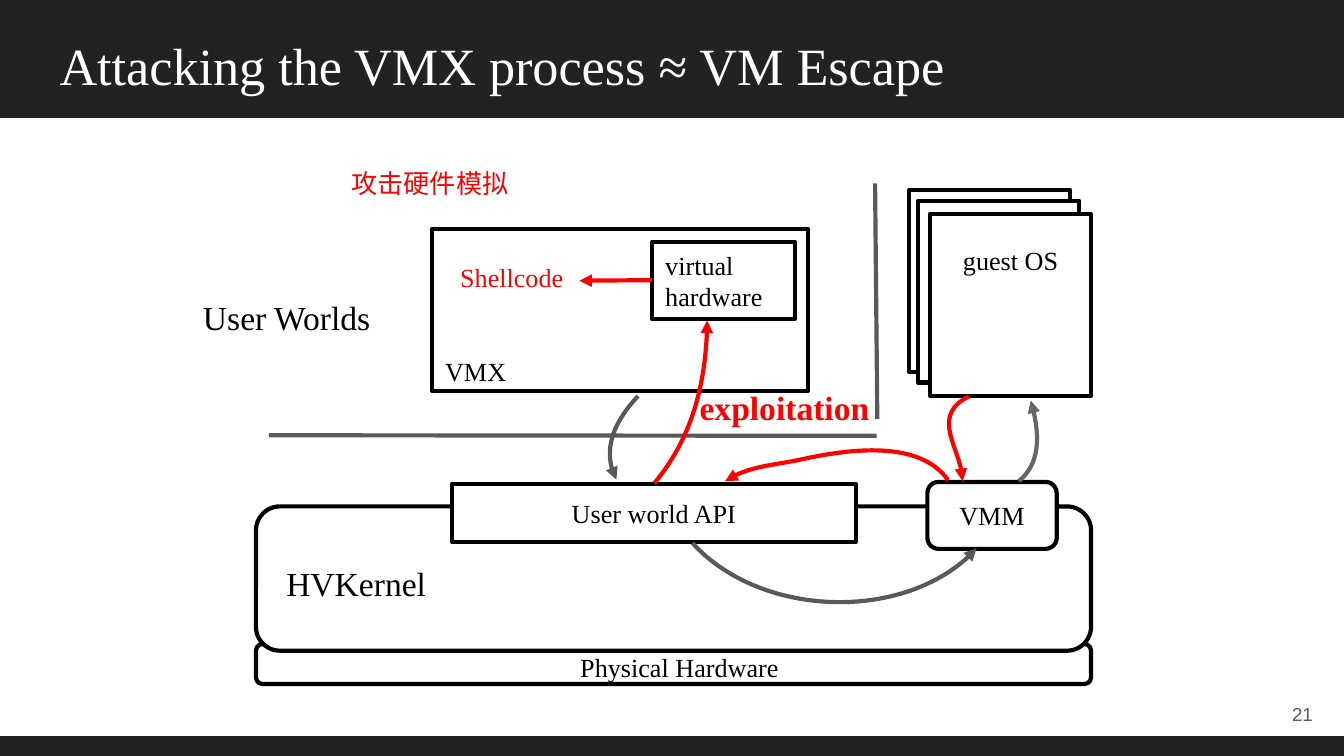
import pptx
import pptx.util
import pptx.oxml
import pptx.oxml.ns
from pptx.dml.color import RGBColor
from pptx.enum.shapes import MSO_CONNECTOR, MSO_SHAPE
from pptx.enum.text import MSO_ANCHOR, MSO_AUTO_SIZE, PP_ALIGN

Pt = pptx.util.Pt
COLOURS = {"bar": "222222", "paper": "FFFFFF", "ink": "000000",
           "flow": "595959", "return": "666666", "attack": "FF0000"}
SERIF, SANS, CJK = "Times New Roman", "Arial", "Noto Sans CJK SC"
LINE_WIDTH = 2.25
INSET = 7.2
RECT, ROUND = MSO_SHAPE.RECTANGLE, MSO_SHAPE.ROUNDED_RECTANGLE
CENTRE, RIGHT = PP_ALIGN.CENTER, PP_ALIGN.RIGHT

TITLE = "Attacking the VMX process ≈ VM Escape"
BARS = [(0, 0, 720, 63.2), (0, 394.4, 720, 10.6)]

# Boxes: preset, (left, top, width, height), text, alignment
KERNEL_BOXES = [
    (ROUND, (137.1, 345, 447.4, 21.5), "", CENTRE),
    (ROUND, (137.1, 271.3, 447.4, 77.3), "", CENTRE),
    (RECT, (242.1, 259.3, 216.5, 31), "User world API", CENTRE),
    (ROUND, (496.8, 258.2, 69.3, 35.9), "VMM", CENTRE),
]
USER_BOXES = [
    (RECT, (231.4, 122.7, 201.6, 86.8), "", CENTRE),
    (RECT, (349.3, 129.6, 76.7, 41.4), "virtual\nhardware", PP_ALIGN.LEFT),
]
GUEST_SIZE = (86.4, 97.4)
GUEST_CORNERS = [(486.9, 101.8), (491.8, 107.6), (498.2, 114.7)]

# Lines: start, end, colour, arrowhead
LINES = [
    ((468.8, 98.2), (470, 224.4), "flow", False),
    ((144, 233.2), (469.6, 233.5), "flow", False),
    ((349.2, 150.1), (310.4, 150.4), "attack", True),
]
# Curves: start followed by three Bézier points per segment, colour
CURVES = [
    ([(341.8, 212.2), (329.5, 225.4), (322.2, 242.5), (330.2, 257)], "flow"),
    ([(371, 291), (407, 330.5), (487.4, 333.4), (523.2, 293.8)], "flow"),
    ([(545.8, 257.8), (557.5, 248.2), (556.6, 228.2), (552.2, 214.6)], "return"),
    ([(519.1, 212.4), (499.7, 221.8), (515.5, 242.6), (515.7, 257.8)], "attack"),
    ([(507.9, 257.2), (492.5, 235.4), (455, 240.5), (429.1, 246.2),
      (415.4, 249.1), (400.3, 249.8), (388.5, 257.8)], "attack"),
    ([(350.6, 258.8), (370.8, 234.7), (378.7, 202.3), (378.9, 171.7)], "attack"),
]
# Labels: text, (left, top, width, height), format
LABELS = [
    ("HVKernel", (146.3, 294.5, 117.4, 31), dict(size=18)),
    ("Physical Hardware", (303.8, 341.6, 136.8, 29.5), dict()),
    ("User Worlds", (94.9, 152, 117.4, 31), dict(size=18, align=CENTRE)),
    ("VMX", (231.4, 183.2, 55.4, 36), dict()),
    ("exploitation", (366.3, 200.2, 108, 41.8),
     dict(size=18, bold=True, colour="attack", align=CENTRE)),
    ("Shellcode", (239.4, 132.6, 90, 36), dict(colour="attack")),
    ("guest OS", (508.3, 124.7, 66.2, 29.5),
     dict(align=CENTRE, anchor=MSO_ANCHOR.MIDDLE)),
    ("21", (667.2, 367.2, 43.2, 31),
     dict(size=10, font=SANS, colour="flow", align=RIGHT, anchor=MSO_ANCHOR.MIDDLE)),
    ("攻击硬件模拟", (181.2, 85.9, 98.6, 24.2),
     dict(font=CJK, colour="attack", wrap=False, inset=(7.2, 3.6))),
]


def rgb(name):
    return RGBColor.from_string(COLOURS[name])


def write(shape, text, size=14, font=SERIF, colour="ink", bold=False, align=PP_ALIGN.LEFT,
          anchor=MSO_ANCHOR.TOP, wrap=True, inset=(INSET, INSET)):
    frame = shape.text_frame
    frame.text = text
    frame.word_wrap = wrap
    frame.auto_size = MSO_AUTO_SIZE.NONE if wrap else MSO_AUTO_SIZE.SHAPE_TO_FIT_TEXT
    frame.vertical_anchor = anchor
    frame.margin_left = frame.margin_right = Pt(inset[0])
    frame.margin_top = frame.margin_bottom = Pt(inset[1])
    for paragraph in frame.paragraphs:
        paragraph.alignment = align
        paragraph.line_spacing = 1.0
        for run in paragraph.runs:
            run.font.size = Pt(size)
            run.font.name = font
            run.font.bold = bold
            run.font.color.rgb = rgb(colour)
            if font == CJK:
                east_asian = pptx.oxml.parse_xml(
                    f'<a:ea {pptx.oxml.ns.nsdecls("a")} typeface="{font}"/>')
                run.font._element.find(pptx.oxml.ns.qn("a:latin")).addnext(east_asian)


def add_box(preset, place, text="", align=CENTRE, fill="paper", outlined=True):
    box = shapes.add_shape(preset, *map(Pt, place))
    box.shadow.inherit = False
    box.fill.solid()
    box.fill.fore_color.rgb = rgb(fill)
    if outlined:
        draw_line(box, "ink")
    else:
        box.line.fill.background()
    if text:
        write(box, text, align=align, anchor=MSO_ANCHOR.MIDDLE)


def draw_line(shape, colour, arrow=False):
    shape.line.color.rgb = rgb(colour)
    shape.line.width = Pt(LINE_WIDTH)
    if arrow:
        shape.line._get_or_add_ln().append(pptx.oxml.parse_xml(
            f'<a:tailEnd {pptx.oxml.ns.nsdecls("a")} type="triangle"/>'))


def add_line(start, end, colour, arrow):
    line = shapes.add_connector(MSO_CONNECTOR.STRAIGHT, *map(Pt, start + end))
    draw_line(line, colour, arrow)
    line._element.spPr.append(pptx.oxml.parse_xml(
        f'<a:effectLst {pptx.oxml.ns.nsdecls("a")}/>'))


def bezier_point(controls, t):
    weights = ((1 - t) ** 3, 3 * t * (1 - t) ** 2, 3 * t * t * (1 - t), t ** 3)
    return tuple(Pt(sum(w * p[axis] for w, p in zip(weights, controls))) for axis in (0, 1))


def add_curve(points, colour):
    """Sample the curve to size its frame, then store true Bézier segments."""
    segments = [points[i:i + 4] for i in range(0, len(points) - 1, 3)]
    samples = [bezier_point(s, step / 20) for s in segments for step in range(21)]
    builder = shapes.build_freeform(*samples[0], scale=1.0)
    builder.add_line_segments(samples[1:], close=False)
    curve = builder.convert_to_shape()
    outline = curve._element.find(".//" + pptx.oxml.ns.qn("a:path"))
    for step in list(outline)[1:]:
        outline.remove(step)
    for segment in segments:
        controls = "".join(f'<a:pt x="{Pt(x) - curve.left}" y="{Pt(y) - curve.top}"/>'
                           for x, y in segment[1:])
        outline.append(pptx.oxml.parse_xml(
            f'<a:cubicBezTo {pptx.oxml.ns.nsdecls("a")}>{controls}</a:cubicBezTo>'))
    curve.shadow.inherit = False
    curve.fill.background()
    draw_line(curve, colour, arrow=True)


deck = pptx.Presentation()
deck.slide_width, deck.slide_height = Pt(720), Pt(405)
slide = deck.slides.add_slide(deck.slide_layouts.get_by_name("Title Only"))
shapes = slide.shapes

for bar in BARS:
    add_box(RECT, bar, fill="bar", outlined=False)
title = shapes.title
title.left, title.top, title.width, title.height = map(Pt, (24.7, 10.8, 576, 45.4))
write(title, TITLE, size=28, colour="paper")
shapes._spTree.append(title._element)  # in front of the header bar

for box in KERNEL_BOXES + USER_BOXES:
    add_box(*box)
for corner in GUEST_CORNERS:
    add_box(RECT, corner + GUEST_SIZE)
for line in LINES:
    add_line(*line)
for curve in CURVES:
    add_curve(*curve)
for text, place, style in LABELS:
    write(shapes.add_textbox(*map(Pt, place)), text, **style)

deck.save("out.pptx")
